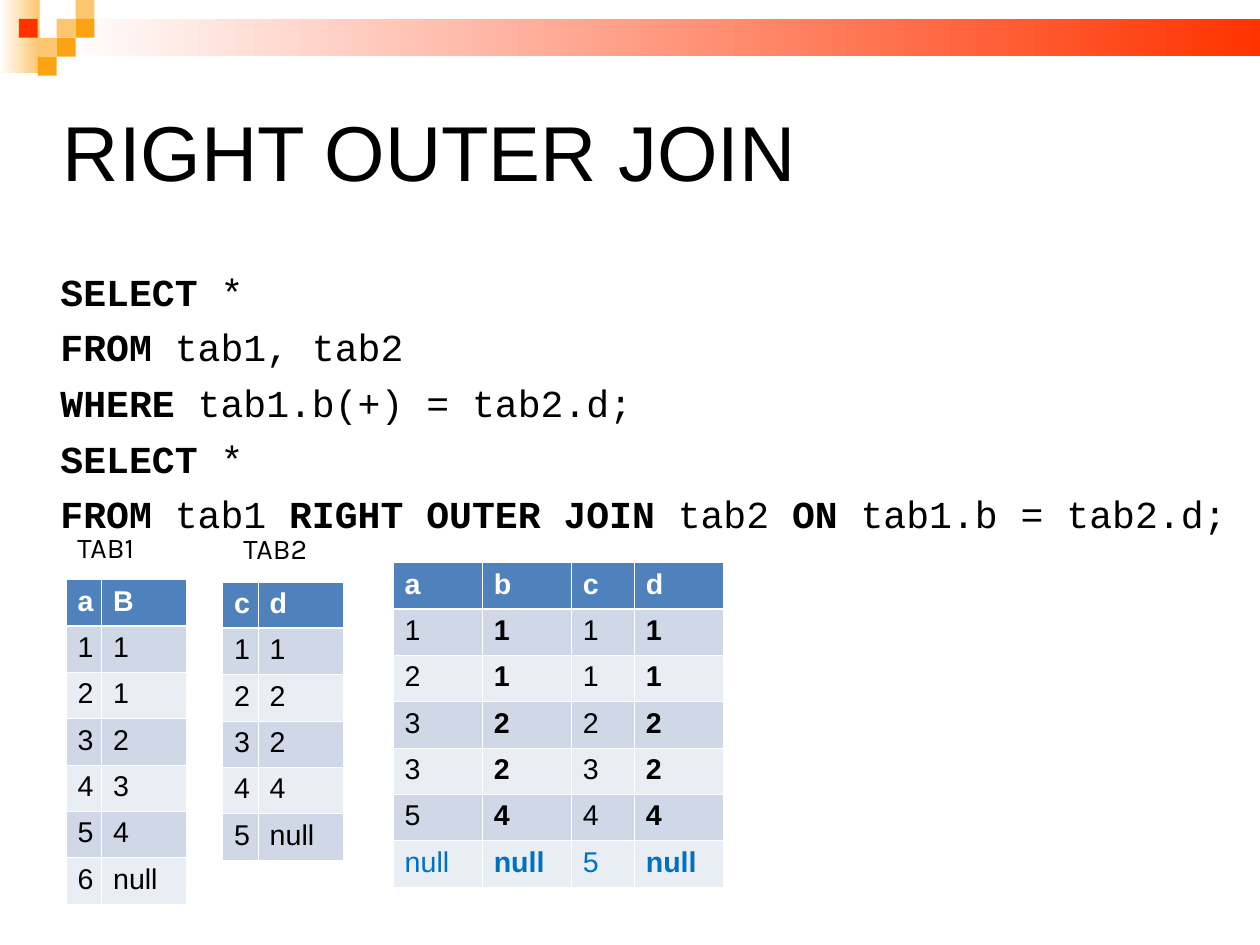
from lxml.etree import SubElement
from pptx import Presentation
from pptx.dml.color import RGBColor
from pptx.enum.shapes import MSO_SHAPE
from pptx.enum.text import MSO_ANCHOR, MSO_AUTO_SIZE, PP_ALIGN
from pptx.oxml import parse_xml
from pptx.oxml.ns import nsdecls, qn
from pptx.util import Cm, Pt

BLACK = RGBColor(0x00, 0x00, 0x00)
WHITE = RGBColor(0xFF, 0xFF, 0xFF)
RED = RGBColor(0xFF, 0x33, 0x00)
ORANGE = RGBColor(0xFB, 0xA3, 0x13)
PALE_ORANGE = RGBColor(0xFC, 0xC6, 0x6E)
HEADER_BLUE = RGBColor(0x4F, 0x81, 0xBD)
BAND_DARK = RGBColor(0xD0, 0xD8, 0xE8)
BAND_LIGHT = RGBColor(0xE9, 0xED, 0xF4)
NULL_BLUE = RGBColor(0x00, 0x70, 0xC0)

THIN, THICK = Pt(0.45), Pt(1.47)
ROW_HEIGHT = 1.03
MOSAIC_STEP = 0.42

MOSAIC = [
    (3, 0, PALE_ORANGE), (1, 1, RED), (2, 2, PALE_ORANGE),
    (3, 1, ORANGE), (2, 3, ORANGE),
]
MOSAIC = [
    (3, 1, PALE_ORANGE), (4, 0, PALE_ORANGE), (4, 1, ORANGE),
    (2, 2, PALE_ORANGE), (1, 1, RED), (3, 2, ORANGE), (2, 3, ORANGE),
]

QUERY = [
    [("SELECT ", True), ("*", False)],
    [("FROM ", True), ("tab1, tab2", False)],
    [("WHERE", True), (" tab1.b(+) = tab2.d;", False)],
    [("SELECT ", True), ("*", False)],
    [("FROM ", True), ("tab1 ", False), ("RIGHT OUTER JOIN", True),
     (" tab2 ", False), ("ON ", True), ("tab1.b = tab2.d;", False)],
]

TAB1 = ["a B", "1 1", "2 1", "3 2", "4 3", "5 4", "6 null"]
TAB2 = ["c d", "1 1", "2 2", "3 2", "4 4", "5 null"]
JOINED = ["a b c d", "1 1 1 1", "2 1 1 1", "3 2 2 2", "3 2 3 2",
          "5 4 4 4", "null null 5 null"]


def apply(target, values):
    for key, value in values.items():
        setattr(target, key, value)


class JoinSlide:
    title_font = {"name": "Arial", "size": Pt(49), "bold": False}
    code_font = {"name": "Courier New", "size": Pt(24)}
    cell_font = {"name": "Arial", "size": Pt(18)}
    label_font = {"name": "Karla", "size": Pt(18)}

    def __init__(self, deck):
        self.slide = deck.slides.add_slide(deck.slide_layouts[1])
        self.shapes = self.slide.shapes

    def run(self, paragraph, text, font, color=BLACK, **extra):
        piece = paragraph.add_run()
        piece.text = text
        apply(piece.font, {**font, **extra})
        piece.font.color.rgb = color

    def place(self, holder, left, top, width, height):
        apply(holder, {"left": Cm(left), "top": Cm(top),
                       "width": Cm(width), "height": Cm(height)})

    def block(self, left, top, width, height, color, fade=False):
        tile = self.shapes.add_shape(
            MSO_SHAPE.RECTANGLE, Cm(left), Cm(top), Cm(width), Cm(height))
        tile.shadow.inherit = False
        tile.line.fill.background()
        if fade:
            tile.fill.gradient()
            tile.fill.gradient_angle = 180
            for stop, stop_color in zip(tile.fill.gradient_stops, (color, WHITE)):
                stop.color.rgb = stop_color
        else:
            tile.fill.solid()
            tile.fill.fore_color.rgb = color

    def title(self, text, *box):
        heading = self.shapes.title
        self.place(heading, *box)
        apply(heading.text_frame, {
            "margin_left": 0, "margin_top": 0, "margin_right": 0, "margin_bottom": 0,
            "word_wrap": True, "auto_size": MSO_AUTO_SIZE.NONE,
            "vertical_anchor": MSO_ANCHOR.MIDDLE})
        paragraph = heading.text_frame.paragraphs[0]
        apply(paragraph, {"alignment": PP_ALIGN.LEFT, "line_spacing": 0.87})
        self.run(paragraph, text, self.title_font)

    def code(self, lines, *box):
        body = self.slide.placeholders[1]
        self.place(body, *box)
        frame = body.text_frame
        apply(frame, {"word_wrap": True, "auto_size": MSO_AUTO_SIZE.NONE,
                      "vertical_anchor": MSO_ANCHOR.TOP})
        for index, line in enumerate(lines):
            paragraph = frame.add_paragraph() if index else frame.paragraphs[0]
            properties = paragraph._p.get_or_add_pPr()
            properties.set("marL", str(Cm(0.94)))
            properties.set("indent", str(-Cm(0.94)))
            SubElement(properties, qn("a:buNone"))
            apply(paragraph, {"alignment": PP_ALIGN.LEFT, "line_spacing": 0.87,
                              "space_before": Pt(10 if index else 0)})
            for text, bold in line:
                self.run(paragraph, text, self.code_font, bold=bold)

    def label(self, text, left, top):
        caption = self.shapes.add_textbox(Cm(left), Cm(top), Cm(2.16), Cm(1.02))
        apply(caption.text_frame, {"word_wrap": False,
                                   "auto_size": MSO_AUTO_SIZE.SHAPE_TO_FIT_TEXT})
        self.run(caption.text_frame.paragraphs[0], text, self.label_font)

    def borders(self, cell, row):
        widths = {"lnL": THIN, "lnR": THIN,
                  "lnT": THICK if row == 1 else THIN,
                  "lnB": THICK if row == 0 else THIN}
        properties = cell._tc.get_or_add_tcPr()
        for position, (side, width) in enumerate(widths.items()):
            properties.insert(position, parse_xml(
                f'<a:{side} {nsdecls("a")} w="{width}"><a:solidFill>'
                f'<a:srgbClr val="{WHITE}"/></a:solidFill></a:{side}>'))

    def table(self, rows, left, top, widths, bold_columns=(), blue_row=None):
        grid = self.shapes.add_table(
            len(rows), len(widths), Cm(left), Cm(top),
            Cm(sum(widths)), Cm(ROW_HEIGHT * len(rows))).table
        for column, width in zip(grid.columns, widths):
            column.width = Cm(width)
        for r, values in enumerate(rows):
            grid.rows[r].height = Cm(ROW_HEIGHT)
            band = BAND_DARK if r % 2 else BAND_LIGHT
            color = NULL_BLUE if r == blue_row else BLACK
            for c, value in enumerate(values.split()):
                cell = grid.cell(r, c)
                cell.fill.solid()
                cell.fill.fore_color.rgb = band if r else HEADER_BLUE
                self.borders(cell, r)
                self.run(cell.text_frame.paragraphs[0], value, self.cell_font,
                         color if r else WHITE, bold=r == 0 or c in bold_columns)


def main():
    deck = Presentation()
    apply(deck, {"slide_width": Cm(28), "slide_height": Cm(21)})
    page = JoinSlide(deck)
    page.block(0, 0, 0.88, 1.62, PALE_ORANGE, fade=True)
    page.block(1.27, MOSAIC_STEP, 26.73, 0.83, RED, fade=True)
    for column, row, color in MOSAIC:
        page.block(column * MOSAIC_STEP, row * MOSAIC_STEP,
                   MOSAIC_STEP, MOSAIC_STEP, color)
    page.title("RIGHT OUTER JOIN", 1.4, 1.4, 25.2, 4.19)
    page.code(QUERY, 1.09, 5.97, 26.9, 12.98)
    page.table(TAB1, 1.47, 12.88, [0.79, 1.88])
    page.table(TAB2, 4.95, 12.93, [0.79, 1.88])
    page.table(JOINED, 8.74, 12.5, [1.98, 1.98, 1.4, 1.98],
               bold_columns=(1, 3), blue_row=6)
    page.label("TAB1", 1.47, 11.66)
    page.label("TAB2", 5.16, 11.68)
    deck.save("out.pptx")


if __name__ == "__main__":
    main()
